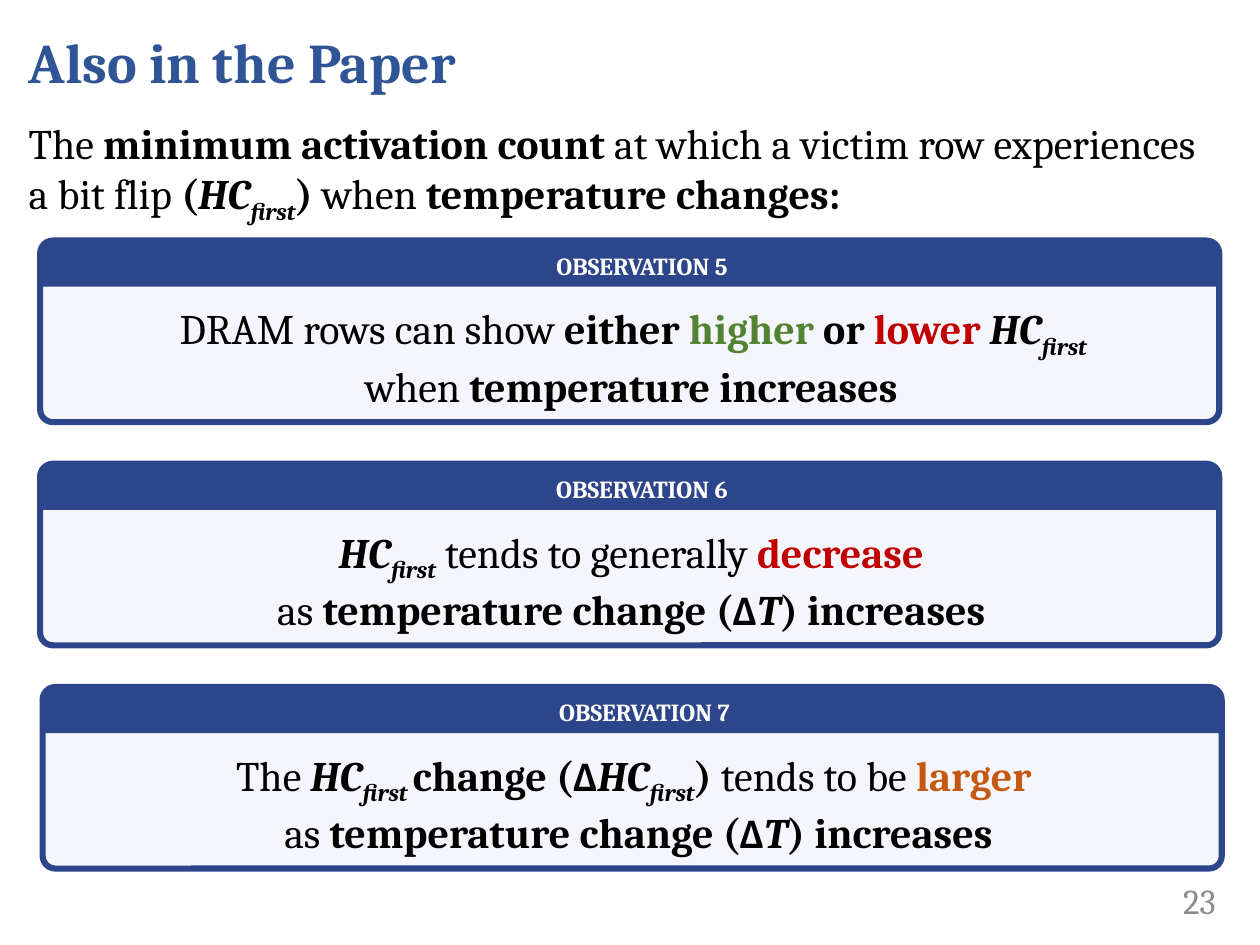
"""Build the slide on temperature effects on the minimum activation count."""
from pptx import Presentation
from pptx.dml.color import RGBColor
from pptx.enum.shapes import MSO_SHAPE as Shape
from pptx.enum.text import MSO_ANCHOR as Anchor, MSO_AUTO_SIZE as AutoSize, PP_ALIGN as Align
from pptx.util import Cm, Pt

BLACK = RGBColor(0x00, 0x00, 0x00)
WHITE = RGBColor(0xFF, 0xFF, 0xFF)
GRAY = RGBColor(0x8C, 0x8C, 0x8C)
TITLE_BLUE = RGBColor(0x2F, 0x55, 0x97)
NAVY = RGBColor(0x2D, 0x45, 0x8A)
PALE = RGBColor(0xF5, 0xF6, 0xFB)
GREEN = RGBColor(0x53, 0x82, 0x33)
RED = RGBColor(0xC0, 0x00, 0x00)
ORANGE = RGBColor(0xC5, 0x59, 0x11)


def write_spans(para, spans, size=24, align=Align.LEFT):
    para.alignment = align
    for text, style, color in spans:
        span = para.add_run()
        span.text = text
        span.font.size = Pt(size)
        span.font.name = "Calibri" if text == "Δ" else "Cambria"
        span.font.color.rgb = color
        span.font.bold = "b" in style
        span.font.italic = "i" in style
        if "s" in style:
            span.font._element.set("baseline", "-25000")


def add_text(shapes, left, top, width, height, anchor=Anchor.TOP):
    box = shapes.add_textbox(Cm(left), Cm(top), Cm(width), Cm(height))
    box.text_frame.word_wrap = True
    box.text_frame.vertical_anchor = anchor
    return box.text_frame


deck = Presentation()
deck.slide_width, deck.slide_height = Cm(25.4), Cm(19.05)
page = deck.slides.add_slide(deck.slide_layouts[6])

number = add_text(page.shapes, 22.02, 17.65, 2.74, 1.02, Anchor.MIDDLE)
write_spans(number.paragraphs[0], [("23", "", GRAY)], 20, Align.RIGHT)

title = add_text(page.shapes, 0.33, -0.36, 23.65, 3.18, Anchor.MIDDLE)
write_spans(title.paragraphs[0], [("Also in the Paper", "b", TITLE_BLUE)], 32)
title.paragraphs[0].space_after = Pt(6)

intro = add_text(page.shapes, 0.33, 2.24, 24.31, 2.31)
intro.auto_size = AutoSize.SHAPE_TO_FIT_TEXT
write_spans(intro.paragraphs[0], [
    ("The ", "", BLACK), ("minimum activation count", "b", BLACK),
    (" at which a victim row experiences a bit flip ", "", BLACK),
    ("(", "b", BLACK), ("HC", "bi", BLACK), ("first", "bis", BLACK), (") ", "b", BLACK),
    ("when ", "", BLACK), ("temperature changes:", "b", BLACK),
])

observations = [
    ("OBSERVATION 5", 0.81, [
        [("DRAM rows can show ", "", BLACK), ("either ", "b", BLACK), ("higher", "b", GREEN),
         (" or ", "b", BLACK), ("lower ", "b", RED), ("HC", "bi", BLACK), ("first ", "bis", BLACK)],
        [("when ", "", BLACK), ("temperature increases ", "b", BLACK)],
    ]),
    ("OBSERVATION 6", 0.81, [
        [("HC", "bi", BLACK), ("first", "bis", BLACK), (" tends to generally ", "", BLACK),
         ("decrease ", "b", RED)],
        [("as ", "", BLACK), ("temperature change (", "b", BLACK), ("Δ", "b", BLACK),
         ("T", "bi", BLACK), (") increases ", "b", BLACK)],
    ]),
    ("OBSERVATION 7", 0.86, [
        [("The ", "", BLACK), ("HC", "bi", BLACK), ("first ", "bis", BLACK),
         ("change (", "b", BLACK), ("Δ", "b", BLACK), ("HC", "bi", BLACK),
         ("first", "bis", BLACK), (")", "b", BLACK), (" tends to be ", "", BLACK),
         ("larger ", "b", ORANGE)],
        [("as ", "", BLACK), ("temperature change (", "b", BLACK), ("Δ", "b", BLACK),
         ("T", "bi", BLACK), (") increases", "b", BLACK)],
    ]),
]

CARD_WIDTH = 23.77
for index, (heading, left, lines) in enumerate(observations):
    top = 4.85 + 4.5 * index
    card = page.shapes.add_group_shape().shapes

    frame = card.add_shape(Shape.ROUNDED_RECTANGLE, Cm(left), Cm(top), Cm(CARD_WIDTH), Cm(3.66))
    frame.adjustments[0] = 0.07
    band = card.add_shape(Shape.ROUND_2_SAME_RECTANGLE, Cm(left), Cm(top), Cm(CARD_WIDTH), Cm(0.91))
    band.adjustments[0] = 0.34
    for shape, fill, weight in ((frame, PALE, 3.5), (band, NAVY, 1)):
        shape.shadow.inherit = False
        shape.fill.solid()
        shape.fill.fore_color.rgb = fill
        shape.line.color.rgb = NAVY
        shape.line.width = Pt(weight)

    label = band.text_frame
    label.margin_left = Cm(0.5)
    label.margin_right = label.margin_top = label.margin_bottom = 0
    label.vertical_anchor = Anchor.MIDDLE
    write_spans(label.paragraphs[0], [(heading, "b", WHITE)], 14, Align.CENTER)

    body = add_text(card, left, top + 1.13, CARD_WIDTH, 2.31)
    body.margin_left = Cm(0.5)
    body.auto_size = AutoSize.SHAPE_TO_FIT_TEXT
    write_spans(body.paragraphs[0], lines[0], align=Align.CENTER)
    write_spans(body.add_paragraph(), lines[1], align=Align.CENTER)

deck.save("out.pptx")
